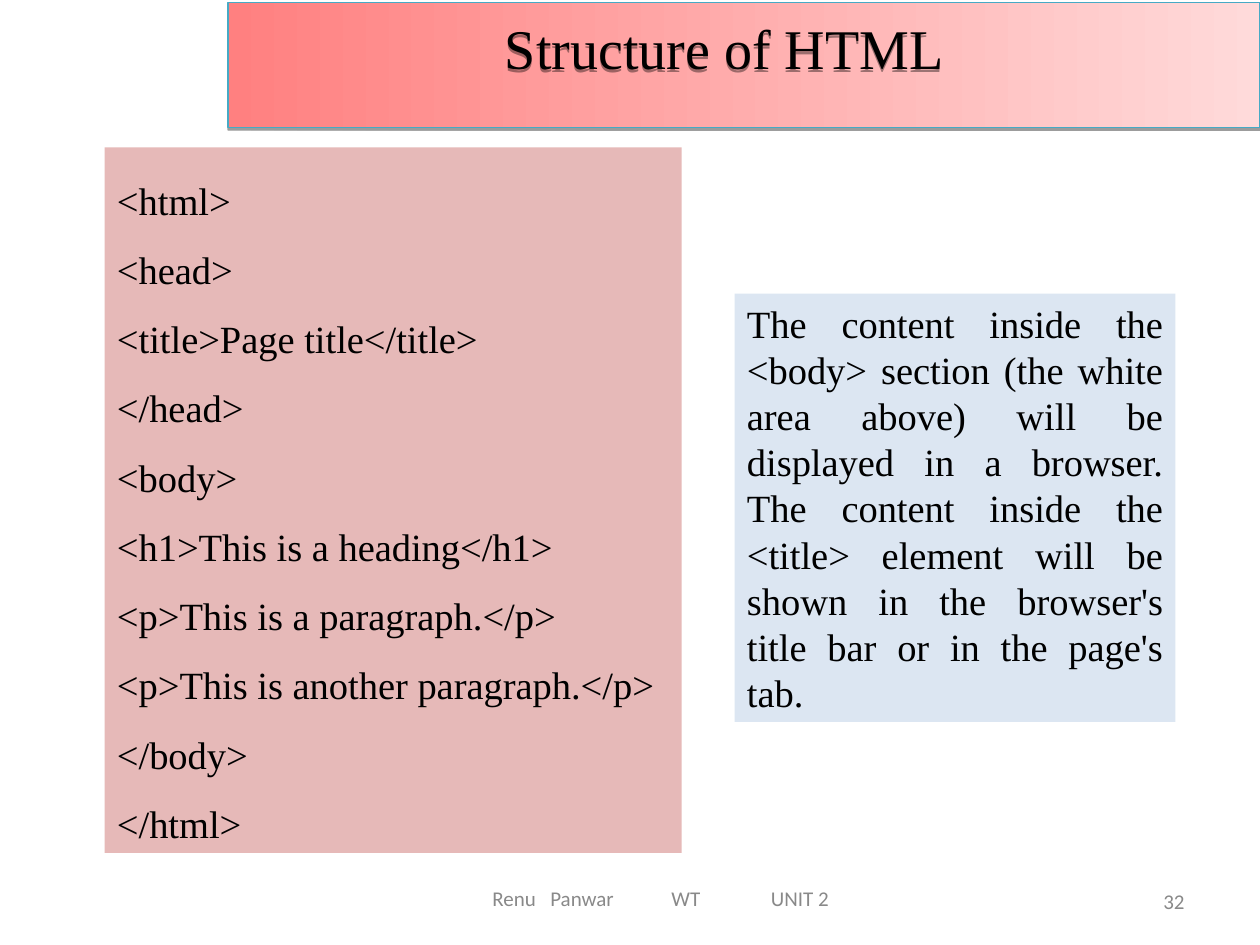
from lxml import etree
from pptx import Presentation
from pptx.dml.color import RGBColor
from pptx.enum import shapes, text
from pptx.oxml import ns
from pptx.util import Inches, Pt

BLACK = RGBColor(0x00, 0x00, 0x00)
GRAY = RGBColor(0x89, 0x89, 0x89)
ROSE = RGBColor(0xE6, 0xB9, 0xB8)
PALE = RGBColor(0xDC, 0xE6, 0xF2)
TEAL = RGBColor(0x46, 0xAA, 0xC5)
FADE = (RGBColor(0xFF, 0x80, 0x80), RGBColor(0xFF, 0xDA, 0xDA))
SERIF, SANS = "Times New Roman", "Calibri"

TITLE = "Structure of HTML"
CODE = [
    "<html>",
    "<head>",
    "<title>Page title</title>",
    "</head>",
    "<body>",
    "<h1>This is a heading</h1>",
    "<p>This is a paragraph.</p>",
    "<p>This is another paragraph.</p>",
    "</body>",
    "</html>",
]
NOTE = (
    "The content inside the <body> section (the white area above) will be "
    "displayed in a browser. The content inside the <title> element will be "
    "shown in the browser's title bar or in the page's tab."
)
FOOT = ["Renu", "Panwar", "WT", "UNIT 2"]
STOPS = [0.46, 1.42, 2.21]
PAGE = "32"

ALIGN = text.PP_ALIGN
MID = text.MSO_ANCHOR.MIDDLE
TOP = text.MSO_ANCHOR.TOP


def rect(slide, box):
    item = slide.shapes.add_shape(shapes.MSO_SHAPE.RECTANGLE, *map(Inches, box))
    item.shadow.inherit = False
    return item


def shade(item):
    item.shadow.inherit = False
    props = item._element.spPr
    glow = etree.SubElement(
        props.find(ns.qn("a:effectLst")), ns.qn("a:outerShdw"),
        blurRad="0", dist=str(Pt(1.6)), dir="5400000", rotWithShape="0")
    tint = etree.SubElement(glow, ns.qn("a:srgbClr"), val="000000")
    etree.SubElement(tint, ns.qn("a:alpha"), val="38000")


def write(slide, lines, box, fill=None, size=22, font=SERIF, color=BLACK,
          align=ALIGN.LEFT, anchor=TOP, space=None, tabs=()):
    if fill is None:
        item = slide.shapes.add_textbox(*map(Inches, box))
    else:
        item = rect(slide, box)
        item.fill.solid()
        item.fill.fore_color.rgb = fill
        item.line.fill.background()
    frame = item.text_frame
    frame.word_wrap = True
    frame.vertical_anchor = anchor
    if fill is not None:
        frame.auto_size = text.MSO_AUTO_SIZE.SHAPE_TO_FIT_TEXT
    frame.text = "\n".join(lines)
    for para in frame.paragraphs:
        if tabs:
            stops = etree.SubElement(
                para._p.get_or_add_pPr(), ns.qn("a:tabLst"))
            for pos in tabs:
                etree.SubElement(stops, ns.qn("a:tab"),
                                 pos=str(Inches(pos)), algn="l")
        para.alignment = align
        if space:
            para.line_spacing = space
        para.font.size = Pt(size)
        para.font.name = font
        para.font.color.rgb = color
    return item


def main():
    deck = Presentation()
    deck.slide_width, deck.slide_height = Inches(10), Inches(7.5)
    slide = deck.slides.add_slide(deck.slide_layouts[6])

    bar = rect(slide, (1.81, 0.02, 8.19, 0.99))
    bar.fill.gradient()
    bar.fill.gradient_angle = 0
    for stop, color in zip(bar.fill.gradient_stops, FADE):
        stop.color.rgb = color
    bar.line.color.rgb = TEAL
    bar.line.width = Pt(0.75)
    shade(bar)

    small = dict(size=12, font=SANS, color=GRAY, anchor=MID)
    write(slide, [PAGE], (7.17, 6.95, 2.33, 0.4), align=ALIGN.RIGHT, **small)
    title = write(slide, [TITLE], (1.5, 0, 8.5, 0.75), size=32,
                  align=ALIGN.CENTER, anchor=MID)
    shade(title)
    write(slide, ["\t".join(FOOT)], (3.81, 6.93, 4.19, 0.4),
          tabs=STOPS, **small)
    write(slide, CODE, (0.83, 1.17, 4.58, 5.6), fill=ROSE, space=1.5)
    write(slide, [NOTE], (5.83, 2.33, 3.5, 3.4), fill=PALE,
          align=ALIGN.JUSTIFY)

    deck.save("out.pptx")


if __name__ == "__main__":
    main()
